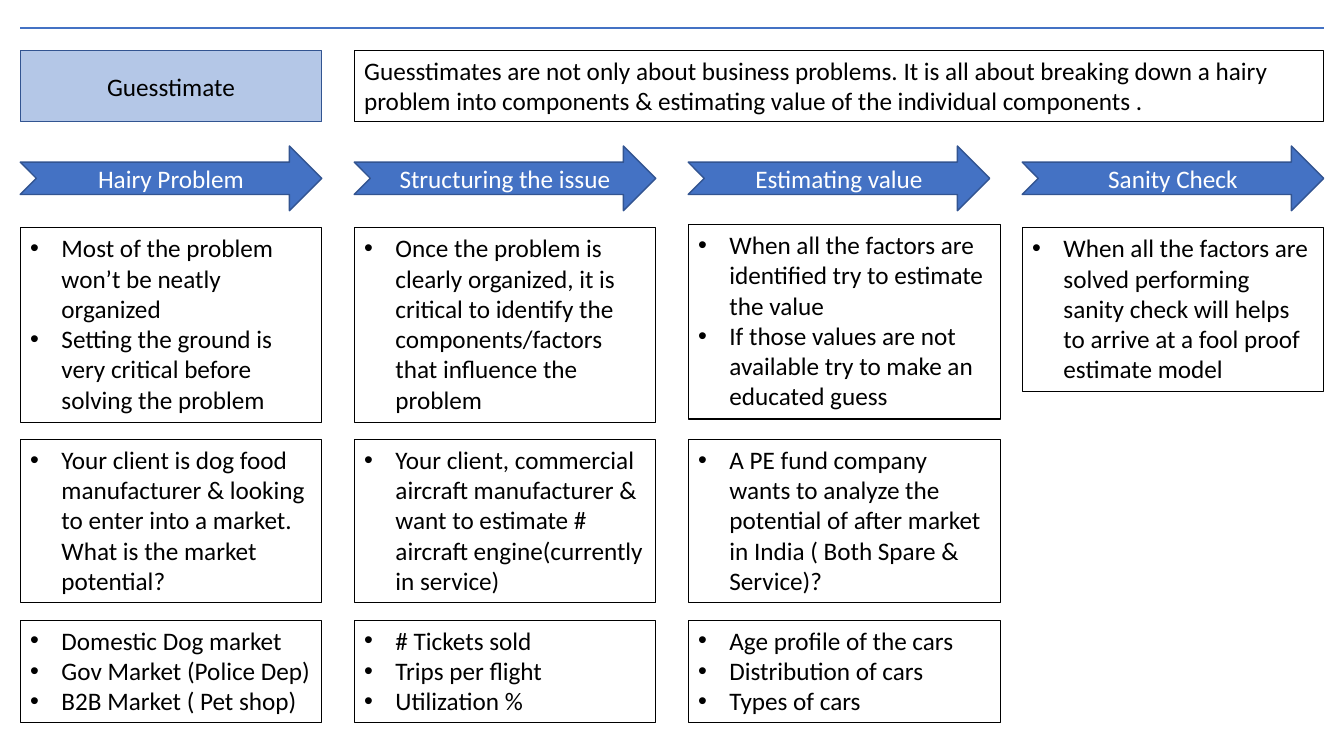
from dataclasses import dataclass

from lxml import etree
from pptx import Presentation
from pptx.dml.color import RGBColor
from pptx.enum.shapes import MSO_CONNECTOR, MSO_SHAPE
from pptx.enum.text import MSO_ANCHOR, MSO_AUTO_SIZE, PP_ALIGN
from pptx.oxml.ns import qn
from pptx.util import Cm, Pt

TITLE = "Guesstimate"
DEFINITION = (
    "Guesstimates are not only about business problems. It is all about breaking down "
    "a hairy problem into components & estimating value of the individual components ."
)
# Each step: heading, then its boxes from top to bottom, each a list of bullets.
STEPS = [
    ("Hairy Problem", [
        ["Most of the problem won’t be neatly organized",
         "Setting the ground is very critical before solving the problem"],
        ["Your client is dog food manufacturer & looking to enter into a market. "
         "What is the market potential?"],
        ["Domestic Dog market", "Gov Market (Police Dep)", "B2B Market ( Pet shop)"],
    ]),
    ("Structuring the issue", [
        ["Once the problem is clearly organized, it is critical to identify the "
         "components/factors that influence the problem"],
        ["Your client, commercial aircraft manufacturer & want to estimate # "
         "aircraft engine(currently in service)"],
        ["# Tickets sold", "Trips per flight", "Utilization %"],
    ]),
    ("Estimating value", [
        ["When all the factors are identified try to estimate the value",
         "If those values are not available try to make an educated guess"],
        ["A PE fund company wants to analyze the potential of after market in India "
         "( Both Spare & Service)?"],
        ["Age profile of the cars", "Distribution of cars", "Types of cars"],
    ]),
    ("Sanity Check", [
        ["When all the factors are solved performing sanity check will helps to arrive "
         "at a fool proof estimate model"],
    ]),
]


@dataclass(frozen=True)
class Theme:
    """Colours, type and line widths of the slide."""
    accent: RGBColor = RGBColor(0x44, 0x72, 0xC4)
    accent_dark: RGBColor = RGBColor(0x32, 0x54, 0x91)
    accent_light: RGBColor = RGBColor(0xB4, 0xC7, 0xE7)
    black: RGBColor = RGBColor(0, 0, 0)
    white: RGBColor = RGBColor(255, 255, 255)
    font: str = "Calibri"
    size: Pt = Pt(18)
    box_line: Pt = Pt(0.75)
    shape_line: Pt = Pt(1)
    rule_line: Pt = Pt(1.5)


THEME = Theme()

# Layout in centimetres
SLIDE_W, SLIDE_H = 33.87, 19.05
MARGIN, COLUMN_W = 0.51, 7.6
CONTENT_W = SLIDE_W - 2 * MARGIN
PITCH = (CONTENT_W - COLUMN_W) / (len(STEPS) - 1)
RULE_Y, HEADER_Y, ARROW_Y, BOXES_Y = 0.71, 1.27, 3.68, 5.74
ARROW_H, ROW_GAP = 1.63, 0.43
LINE_H, PADDING = 0.775, 0.25
ROW_LINES = [6, 5, 3]
BULLET_INDENT = 0.79
# Departures from the grid
WIDE_STEP, WIDE_W, WIDE_RISE = "Estimating value", 7.87, 0.08
SHORT_STEP, SHORT_LINES = "Sanity Check", 5


def box_height(lines):
    """Height of a box that holds this many lines of text."""
    return lines * LINE_H + PADDING


def outline(shape, color, width, fill=None):
    """Set the line and the fill of a shape."""
    shape.line.color.rgb = color
    shape.line.width = width
    if fill is None:
        shape.fill.background()
    else:
        shape.fill.solid()
        shape.fill.fore_color.rgb = fill


def write(shape, paragraphs, color, centred=False, bullets=False):
    """Fill a shape with paragraphs of text in the theme font."""
    frame = shape.text_frame
    frame.word_wrap = True
    frame.auto_size = MSO_AUTO_SIZE.NONE if centred else MSO_AUTO_SIZE.SHAPE_TO_FIT_TEXT
    frame.vertical_anchor = MSO_ANCHOR.MIDDLE if centred else MSO_ANCHOR.TOP
    frame.text = "\n".join(paragraphs)
    for paragraph in frame.paragraphs:
        paragraph.alignment = PP_ALIGN.CENTER if centred else PP_ALIGN.LEFT
        font = paragraph.runs[0].font
        font.name, font.size, font.color.rgb = THEME.font, THEME.size, color
        if bullets:
            props = paragraph._p.get_or_add_pPr()
            props.set("marL", str(Cm(BULLET_INDENT)))
            props.set("indent", str(-Cm(BULLET_INDENT)))
            etree.SubElement(props, qn("a:buFont"), typeface="Arial")
            etree.SubElement(props, qn("a:buChar"), char="•")


def add_title(slide):
    """Turn the title placeholder into the tinted heading box."""
    title = slide.shapes.title
    title.left, title.top = Cm(MARGIN), Cm(HEADER_Y)
    title.width, title.height = Cm(COLUMN_W), Cm(box_height(2))
    outline(title, THEME.accent_dark, THEME.shape_line, THEME.accent_light)
    write(title, [TITLE], THEME.black, centred=True)


def add_text_box(slide, x, y, width, lines, paragraphs, bullets=False):
    """Add a black-outlined text box sized for its lines."""
    box = slide.shapes.add_textbox(Cm(x), Cm(y), Cm(width), Cm(box_height(lines)))
    outline(box, THEME.black, THEME.box_line)
    write(box, paragraphs, THEME.black, bullets=bullets)


def add_arrow(slide, x, heading):
    """Add the notched arrow that names a step."""
    arrow = slide.shapes.add_shape(MSO_SHAPE.NOTCHED_RIGHT_ARROW, Cm(x), Cm(ARROW_Y),
                                   Cm(COLUMN_W), Cm(ARROW_H))
    arrow.shadow.inherit = False
    outline(arrow, THEME.accent_dark, THEME.shape_line, THEME.accent)
    write(arrow, [heading], THEME.white, centred=True)


def add_step(slide, x, heading, boxes):
    """Add one column: its arrow and the boxes beneath it."""
    add_arrow(slide, x, heading)
    wide = heading == WIDE_STEP
    y = BOXES_Y
    for row, (bullets, lines) in enumerate(zip(boxes, ROW_LINES)):
        top = y - WIDE_RISE if wide and row == 0 else y
        shown_lines = SHORT_LINES if heading == SHORT_STEP else lines
        add_text_box(slide, x, top, WIDE_W if wide else COLUMN_W, shown_lines,
                     bullets, bullets=True)
        y += box_height(lines) + ROW_GAP


def add_rule(slide):
    """Add the line across the top of the slide."""
    rule = slide.shapes.add_connector(MSO_CONNECTOR.STRAIGHT, Cm(MARGIN), Cm(RULE_Y),
                                      Cm(MARGIN + CONTENT_W), Cm(RULE_Y))
    rule.line.color.rgb = THEME.accent
    rule.line.width = THEME.rule_line
    etree.SubElement(rule._element.spPr, qn("a:effectLst"))


def main():
    """Build the slide and save it."""
    deck = Presentation()
    deck.slide_width, deck.slide_height = Cm(SLIDE_W), Cm(SLIDE_H)
    slide = deck.slides.add_slide(deck.slide_layouts.get_by_name("Title Only"))
    add_title(slide)
    add_text_box(slide, MARGIN + PITCH, HEADER_Y, CONTENT_W - PITCH, 2, [DEFINITION])
    for column, (heading, boxes) in enumerate(STEPS):
        add_step(slide, MARGIN + column * PITCH, heading, boxes)
    add_rule(slide)
    deck.save("out.pptx")


main()
